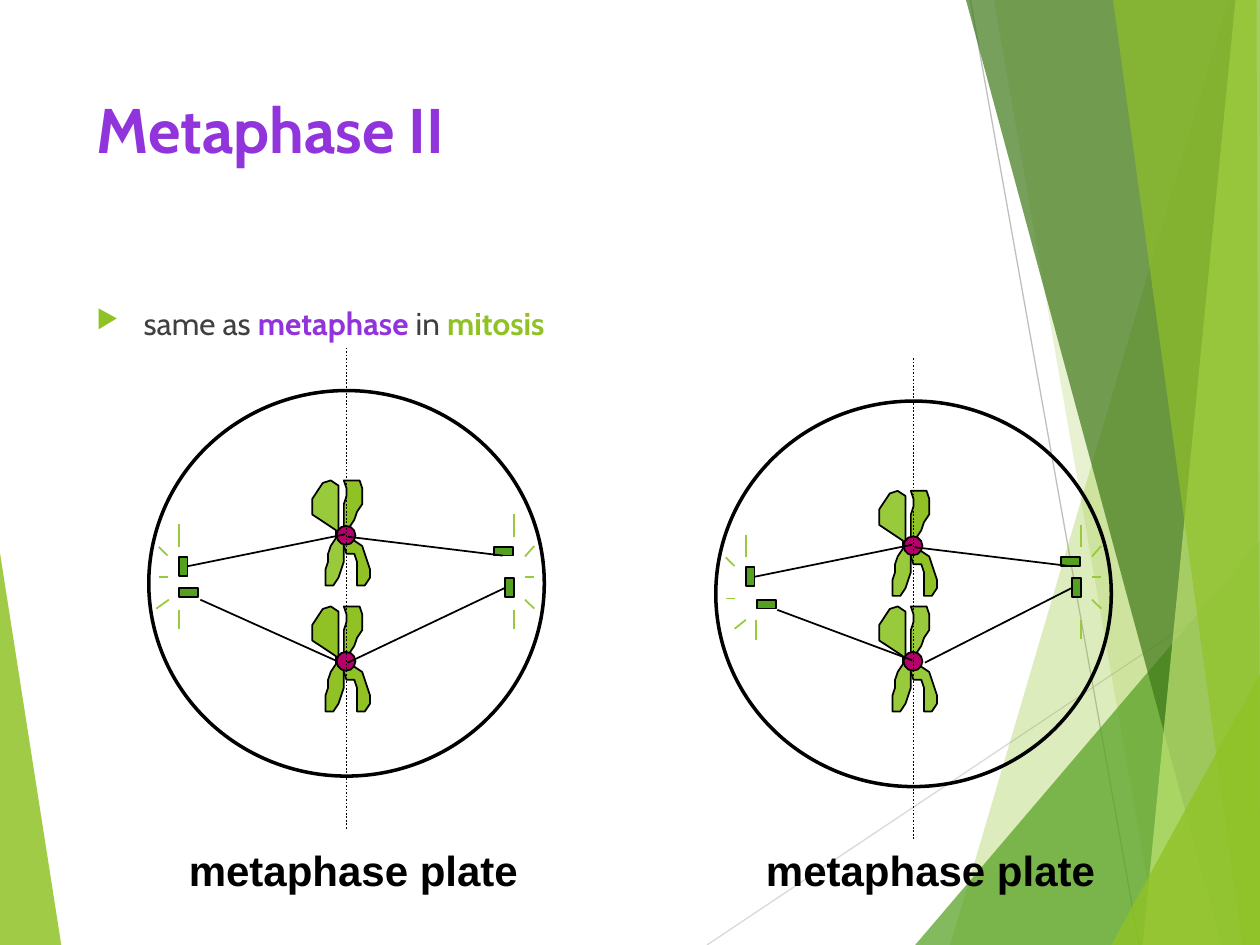
from dataclasses import dataclass

from lxml.etree import SubElement as Sub
from pptx import Presentation
from pptx.dml.color import RGBColor
from pptx.enum.dml import MSO_LINE as Dash
from pptx.enum.shapes import MSO_CONNECTOR as Conn, MSO_SHAPE as Kind
from pptx.oxml.ns import qn
from pptx.util import Pt

LIME, LEAF, PALE = "90C226", "54A021", "99CA3C"
PURPLE, BLACK, PINK = "9234DB", "000000", "B50069"
UNIT = 1.5  # points per step of the chromatid outlines

Point = tuple[float, float]
Box = tuple[float, float, float, float]  # left, top, width, height
Span = tuple[float, float, float, float]  # x1, y1, x2, y2


@dataclass
class Facet:
    fill: str
    alpha: int
    points: list[Point]


@dataclass
class Pair:
    y: float
    left: str
    right: str


@dataclass
class Cell:
    dx: float
    dy: float
    label: float
    pairs: list[Pair]
    rod: Box
    rays: list[Span]
    low: Span  # fibre from the flat rod to the lower centromere
    start: float  # where the lower right fibre begins


FACETS = [
    Facet(LIME, 30, [(702, 0), (543, 540), (720, 540), (720, 0)]),
    Facet(LIME, 20, [(567.5, 0), (662.5, 540), (720, 540), (720, 0)]),
    Facet(LEAF, 72, [(522.7, 540), (720, 309), (720, 540)]),
    Facet("3F7819", 70, [(552.5, 0), (698.5, 540), (720, 540), (720, 0)]),
    Facet("C0E474", 70, [(706.5, 0), (653, 540), (720, 540), (720, 0)]),
    Facet(LIME, 65, [(636, 0), (710, 540), (720, 540), (718.5, 0)]),
    Facet(LIME, 80, [(635, 540), (720, 385), (720, 540)]),
]

# Chromatid outlines, in steps from the centromere
LEFT = [(0, 0), (-3, -1), (-3, -19), (-6, -21), (-9, -20), (-13, -14),
        (-13, -8), (-10, -6), (-4, -2), (-4, 1), (-6, 4), (-7, 7), (-7, 10),
        (-8, 13), (-8, 19), (-5, 19), (-3, 16), (-1, 10), (-1, 1)]
RIGHT = [(0, 0), (-1, -3), (-1, -12), (0, -15), (0, -18), (-1, -21), (5, -21),
         (6, -18), (6, -12), (4, -9), (3, -6), (1, -3), (0, 0), (6, 4),
         (9, 13), (9, 16), (7, 19), (4, 19), (4, 10), (3, 7), (0, 7),
         (-1, 4), (-1, 1)]

# Rays that move with the cell, and rays level in both cells
RAYS = [(293.8, 306.7, 293.8, 293.8), (293.8, 348.5, 293.8, 359.3),
        (90.7, 312.5, 95.8, 317.5), (102.2, 312.5, 102.2, 299.5)]
LEVEL = [(300, 318, 305.3, 312), (300, 329.8, 305.3, 329.8),
         (300, 342.7, 305.3, 347.8)]

CELLS = [
    Cell(0, 0, 100.8, [Pair(306, PALE, LIME), Pair(378, LIME, LIME)],
         (102.2, 336.2, 10.8, 5),
         [(96.5, 342.7, 89.3, 347.8), (90.7, 329.8, 95.8, 329.8),
          (102.2, 348.5, 102.2, 359.3)],
         (114.5, 342.7, 191.5, 377.3), 198.7),
    Cell(324, 6, 106.6, [Pair(312, PALE, LIME), Pair(378, PALE, PALE)],
         (108.7, 342.7, 10.8, 5),
         [(102.2, 354.2, 95.8, 359.3), (90.7, 342, 95.8, 342),
          (108, 354.2, 108, 365.8)],
         (120.2, 348.5, 197.3, 377.3), 204.5),
]

deck = Presentation()
deck.slide_width, deck.slide_height = Pt(720), Pt(540)
slide = deck.slides.add_slide(deck.slide_layouts[6])
shapes = slide.shapes


def rgb(code: str) -> RGBColor:
    return RGBColor.from_string(code)


def paint(shape, fill: str | None, edge: str | None, width: float = 1):
    shape.shadow.inherit = False
    if fill:
        shape.fill.solid()
        shape.fill.fore_color.rgb = rgb(fill)
    else:
        shape.fill.background()
    if edge:
        shape.line.color.rgb = rgb(edge)
        shape.line.width = Pt(width)
    else:
        shape.line.fill.background()
    return shape


def outline(points: list[Point], fill: str, edge: str | None = None,
            at: Point = (0, 0), unit: float = 1):
    form = shapes.build_freeform(*points[0], scale=Pt(unit))
    form.add_line_segments(points[1:], close=True)
    return paint(form.convert_to_shape(*map(Pt, at)), fill, edge)


def facet(part: Facet) -> None:
    shape = outline(part.points, part.fill)
    tint = shape.fill._xPr.find(".//" + qn("a:srgbClr"))
    Sub(tint, qn("a:alpha"), val=str(part.alpha * 1000))


def solid(kind, box: Box, fill: str | None, width: float = 1):
    return paint(shapes.add_shape(kind, *map(Pt, box)), fill, BLACK, width)


def line(span: Span, color: str, width: float = 1, dash=None):
    link = shapes.add_connector(Conn.STRAIGHT, *map(Pt, span))
    link.line.color.rgb = rgb(color)
    link.line.width = Pt(width)
    if dash:
        link.line.dash_style = dash
    Sub(link._element.spPr, qn("a:effectLst"))
    return link


def frame(box: Box, wrap: bool = True):
    area = shapes.add_textbox(*map(Pt, box)).text_frame
    area.word_wrap = wrap
    return area.paragraphs[0]


def write(para, text: str, *, size: float, color: str, font: str = "Cabin",
          bold: bool = False) -> None:
    run = para.add_run()
    run.text = text
    run.font.size, run.font.name, run.font.bold = Pt(size), font, bold
    run.font.color.rgb = rgb(color)


def bullet(para, mark: str, color: str, indent: float) -> None:
    props = para._p.get_or_add_pPr()
    props.set("marL", str(Pt(indent)))
    props.set("indent", str(-Pt(indent)))
    Sub(Sub(props, qn("a:buClr")), qn("a:srgbClr"), val=color)
    Sub(props, qn("a:buSzPct"), val="80000")
    Sub(props, qn("a:buChar"), char=mark)


def draw(cell: Cell) -> None:
    def move(box: Box, dy: float = 0) -> Box:
        return box[0] + cell.dx, box[1] + dy, box[2], box[3]

    def shift(span: Span, dy: float = 0) -> Span:
        x1, y1, x2, y2 = span
        return x1 + cell.dx, y1 + dy, x2 + cell.dx, y2 + dy

    # Chromosomes and cell wall
    mid, dy = 198 + cell.dx, cell.dy
    for pair in cell.pairs:
        for form, fill in ((LEFT, pair.left), (RIGHT, pair.right)):
            outline(form, fill, BLACK, (mid, pair.y), UNIT)
        solid(Kind.OVAL, (mid - 5.7, pair.y - 5.5, 10.8, 10.8), PINK)
    solid(Kind.OVAL, move((85, 223.2, 226, 220.3), dy), None, 2)

    # Centrioles and asters
    west = solid(Kind.RECTANGLE, move((102.2, 318.2, 5, 10.8), dy), LEAF)
    east = solid(Kind.RECTANGLE, move((288.7, 330.5, 5, 10.8)), LEAF)
    solid(Kind.RECTANGLE, move((282.2, 312.5, 10.8, 5), dy), LEAF)
    solid(Kind.RECTANGLE, move(cell.rod), LEAF)
    for ray in RAYS:
        line(shift(ray, dy), PALE)
    for ray in LEVEL + cell.rays:
        line(shift(ray), PALE)

    # Plate and spindle fibres
    line(shift((198, 198.7, 198, 473.8), dy), BLACK, dash=Dash.ROUND_DOT)
    line(shift((108.7, 324.7, 197.3, 305.3), dy), BLACK).begin_connect(west, 3)
    line(shift(cell.low), BLACK)
    line(shift((198.7, 306.7, 287.3, 317.5), dy), BLACK)
    line(shift((cell.start, 378.7, 287.3, 335.5)), BLACK).end_connect(east, 1)
    write(frame(move((cell.label, 478.8, 202.3, 36)), wrap=False),
          "metaphase plate", size=24, color=BLACK, font="Arial", bold=True)


# Backdrop
facet(Facet(LIME, 85, [(0, 316), (35.3, 540), (0, 540)]))
line((404, 540, 720, 329), "D9D9D9", 0.75)
line((554.5, 0, 651, 540), "BFBFBF", 0.75)
for part in FACETS:
    facet(part)

# Title and bullet
write(frame((48, 48, 500, 104)), "Metaphase II",
      size=36, color=PURPLE, bold=True)
body = frame((48, 170, 500, 305))
bullet(body, "▶", LIME, 27)
for text, color, bold in (("same as ", "404040", False),
                          ("metaphase", PURPLE, True),
                          (" in ", "404040", False),
                          ("mitosis", LIME, True)):
    write(body, text, size=18, color=color, bold=bold)

# Cells
for cell in CELLS:
    draw(cell)

deck.save("out.pptx")
